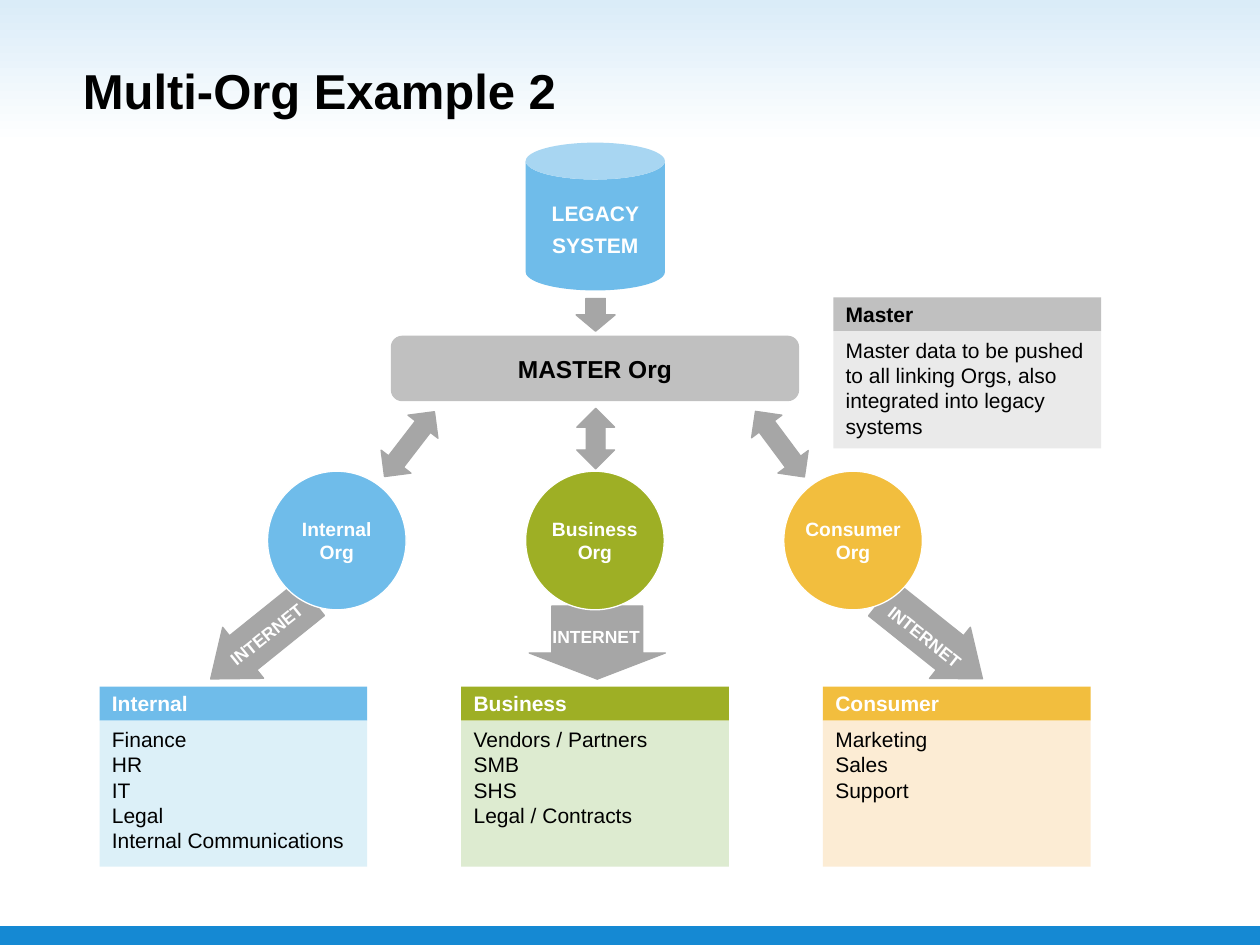
from pptx import Presentation
from pptx.dml.color import RGBColor
from pptx.enum.shapes import MSO_SHAPE
from pptx.enum.text import MSO_ANCHOR, PP_ALIGN
from pptx.util import Pt

RECT = MSO_SHAPE.RECTANGLE
ROUNDED = MSO_SHAPE.ROUNDED_RECTANGLE
CAN = MSO_SHAPE.CAN
CIRCLE = MSO_SHAPE.OVAL
DOWN = MSO_SHAPE.DOWN_ARROW
LEFT_ARROW = MSO_SHAPE.LEFT_ARROW
UP_DOWN = MSO_SHAPE.UP_DOWN_ARROW
TOP = MSO_ANCHOR.TOP
MIDDLE = MSO_ANCHOR.MIDDLE
LEFT = PP_ALIGN.LEFT
CENTER = PP_ALIGN.CENTER

BLACK, WHITE = "000000", "FFFFFF"
BLUE, GREEN, AMBER = "6FBCEA", "9EAF25", "F2BE3E"
SILVER, GRAY = "C0C0C0", "A6A6A6"

ORGS = [
    ("Internal", BLUE, "DCF0F8",
     ["Finance", "HR", "IT", "Legal", "Internal Communications"]),
    ("Business", GREEN, "DDEBD0",
     ["Vendors / Partners", "SMB", "SHS", "Legal / Contracts"]),
    ("Consumer", AMBER, "FCECD4", ["Marketing", "Sales", "Support"]),
]


def color(value):
    return RGBColor.from_string(value)


def add_shape(page, kind, place, fill, line=None, rotation=0, adjustments=()):
    shape = page.shapes.add_shape(kind, *map(Pt, place))
    shape.shadow.inherit = False
    shape.rotation = rotation
    for index, value in enumerate(adjustments):
        shape.adjustments[index] = value
    shape.fill.solid()
    shape.fill.fore_color.rgb = color(fill)
    if line:
        shape.line.color.rgb = color(line)
        shape.line.width = Pt(0.75)
    else:
        shape.line.fill.background()
    return shape


def write(shape, lines, size, ink, bold=True, align=LEFT, anchor=MIDDLE,
          inset=True, wrap=True, spacing=None):
    frame = shape.text_frame
    frame.text = "\n".join(lines)
    frame.word_wrap = wrap
    frame.vertical_anchor = anchor
    if not inset:
        frame.margin_left = frame.margin_right = 0
        frame.margin_top = frame.margin_bottom = 0
    for para in frame.paragraphs:
        para.alignment = align
        if spacing:
            para.line_spacing = spacing
        for span in para.runs:
            span.font.name = "Arial"
            span.font.size = Pt(size)
            span.font.bold = bold
            span.font.color.rgb = color(ink)


def add_label(page, place, text, size, ink, rotation=0, **style):
    box = page.shapes.add_textbox(*map(Pt, place))
    box.rotation = rotation
    write(box, [text], size, ink, **style)


def add_arrow(page, kind, place, rotation=0, adjustments=()):
    return add_shape(page, kind, place, GRAY, GRAY, rotation, adjustments)


def add_card(page, left, top, height, heading, lines, fill, tint, ink=WHITE):
    width, header = 153, 19.4
    bar = add_shape(page, RECT, (left, top, width, header), fill)
    write(bar, [heading], 12, ink)
    body = add_shape(page, RECT, (left, top + header, width, height), tint)
    write(body, lines, 12, BLACK, bold=False, anchor=TOP)


def add_background(page):
    add_shape(page, RECT, (0, 529.2, 720, 10.8), "1589D3")
    glow = add_shape(page, RECT, (0, 0, 720, 113), WHITE)
    glow.fill.gradient()
    glow.fill.gradient_angle = 270
    stops = glow.fill.gradient_stops
    for stop, position, value in zip(stops, (0, 0.73), ("DAECF8", WHITE)):
        stop.position = position
        stop.color.rgb = color(value)


def add_internet_arrows(page):
    left = add_arrow(page, LEFT_ARROW, (112.3, 346.3, 73.4, 37.4), 321.2,
                     (0.669, 0.638))
    write(left, ["INTERNET"], 10, WHITE, inset=False)
    add_arrow(page, LEFT_ARROW, (496.1, 346.3, 73.4, 37.4), 218.6,
              (0.669, 0.638))
    add_arrow(page, LEFT_ARROW, (320.4, 328.3, 41.8, 77.8), 270,
              (0.669, 0.358))
    for x, rotation in ((496.1, 38.6), (308.2, 0)):
        add_label(page, (x, 354.2, 64.8, 19.4), "INTERNET", 10, WHITE,
                  rotation, align=CENTER, inset=False, wrap=False)


def main():
    deck = Presentation()
    deck.slide_width, deck.slide_height = Pt(720), Pt(540)
    page = deck.slides.add_slide(deck.slide_layouts[6])

    add_background(page)
    add_label(page, (40.3, 20.2, 648, 62.6), "Multi-Org Example 2", 28, BLACK)

    for column, (name, fill, tint, lines) in enumerate(ORGS):
        add_card(page, 56.9 + 206.7 * column, 392.4, 83.5, name, lines,
                 fill, tint)
    add_card(page, 476.2, 169.9, 67, "Master",
             ["Master data to be pushed to all linking Orgs, also integrated "
              "into legacy systems"], SILVER, "EAEAEA", BLACK)

    master = add_shape(page, ROUNDED, (223.7, 192.2, 232.6, 36.7), SILVER,
                       SILVER, adjustments=(0.167,))
    write(master, ["MASTER Org"], 14, BLACK, align=CENTER)
    legacy = add_shape(page, CAN, (300.4, 81.5, 79.6, 84.5), BLUE,
                       adjustments=(0.265,))
    write(legacy, ["LEGACY SYSTEM"], 12, WHITE, align=CENTER, spacing=1.25)
    add_arrow(page, DOWN, (329.2, 170.6, 22.3, 18.7))

    add_internet_arrows(page)
    for column, (name, fill, _, _) in enumerate(ORGS):
        circle = add_shape(page, CIRCLE,
                           (152.9 + 147.5 * column, 269.3, 79.2, 79.2),
                           fill, WHITE)
        write(circle, [name + " Org"], 11, WHITE, align=CENTER, inset=False)

    for place, rotation in (((223.2, 230.4, 21.6, 46.8), 37.6),
                            ((329.6, 233.3, 21.6, 34.6), 0),
                            ((434.9, 230.4, 21.6, 46.8), 323.3)):
        add_arrow(page, UP_DOWN, place, rotation)

    deck.save("out.pptx")


if __name__ == "__main__":
    main()
